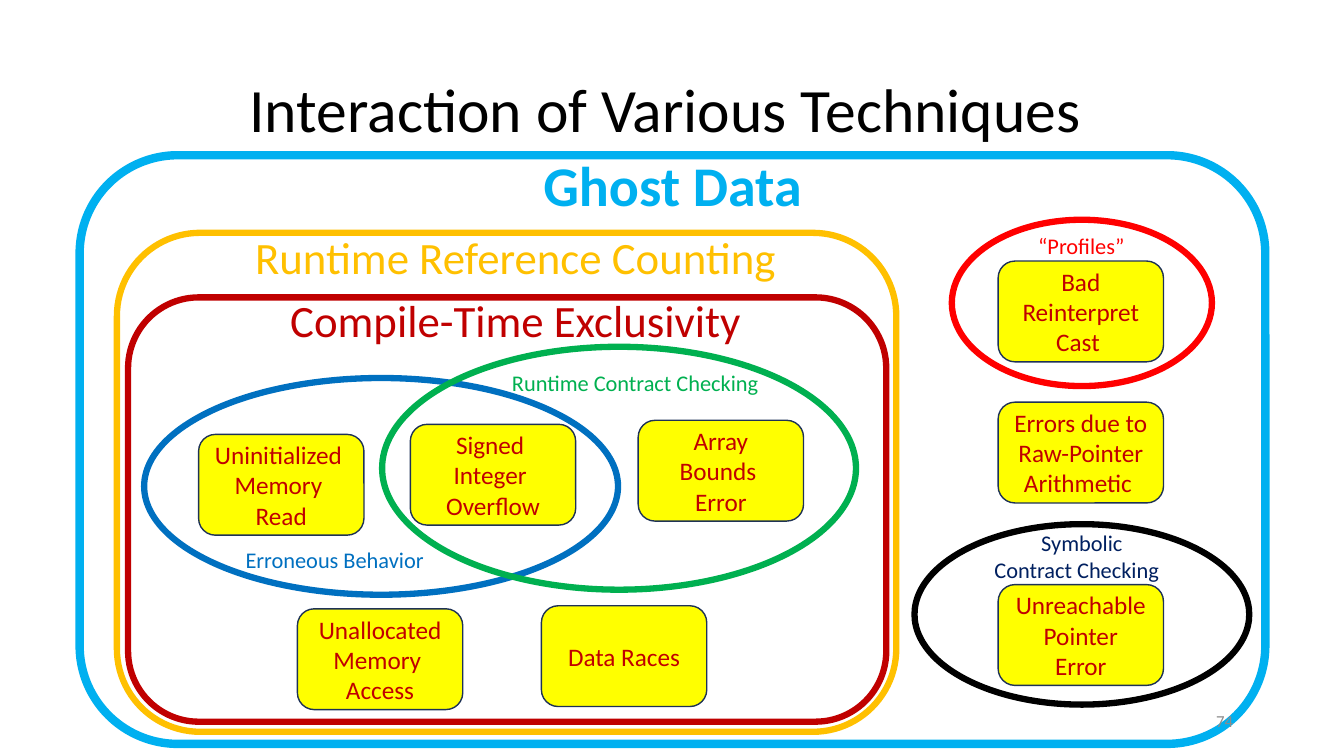
from dataclasses import dataclass

from pptx import Presentation, util as u
from pptx.dml.color import RGBColor
from pptx.enum import shapes, text as t

PX = 9144  # EMU per px, 100 px to the inch


@dataclass(frozen=True)
class Theme:
    font: str = "Calibri"
    black: str = "000000"
    gray: str = "8C8C8C"
    sky: str = "00B0F0"
    amber: str = "FFC000"
    crimson: str = "C00000"
    blue: str = "0070C0"
    green: str = "00B050"
    red: str = "FF0000"
    navy: str = "002060"
    error_fill: str = "FFFF00"
    error_line: str = "1E3256"
    title_size: int = 44
    ghost_size: int = 40
    frame_size: int = 32
    error_size: int = 18
    label_size: int = 16
    number_size: int = 12


THEME = Theme()


@dataclass(frozen=True)
class Box:
    left: int
    top: int
    width: int
    height: int

    def emu(self) -> tuple[int, ...]:
        return tuple(n * PX for n in (self.left, self.top, self.width, self.height))


@dataclass(frozen=True)
class Technique:
    """An outlined region with its name in the same colour family."""
    name: str
    outline: Box
    label: Box
    color: str
    kind: shapes.MSO_SHAPE = shapes.MSO_SHAPE.OVAL
    line: float = 4.5
    size: int = THEME.label_size
    bold: bool = False
    label_color: str = ""


@dataclass(frozen=True)
class Error:
    name: str
    left: int
    top: int


ROUNDED = shapes.MSO_SHAPE.ROUNDED_RECTANGLE
ERROR_WIDTH, ERROR_HEIGHT = 164, 100
RIGHT_COLUMN = 990

TECHNIQUES = [
    Technique("Ghost Data", Box(79, 154, 1176, 584), Box(407, 144, 520, 77),
              THEME.sky, ROUNDED, 6, THEME.ghost_size, True),
    Technique("Runtime Reference Counting", Box(116, 231, 773, 495),
              Box(178, 223, 667, 64), THEME.amber, ROUNDED, size=THEME.frame_size),
    Technique("Compile-Time Exclusivity", Box(127, 295, 752, 421),
              Box(178, 286, 667, 64), THEME.crimson, ROUNDED, size=THEME.frame_size),
    Technique("Erroneous Behavior ", Box(143, 375, 470, 215),
              Box(186, 537, 297, 37), THEME.blue),
    Technique("Runtime Contract Checking ", Box(379, 344, 470, 241),
              Box(484, 361, 297, 37), THEME.green),
    Technique("“Profiles”", Box(944, 218, 258, 165),
              Box(1016, 225, 113, 37), THEME.red),
    Technique("Symbolic\nContract Checking  ", Box(907, 520, 332, 179),
              Box(970, 520, 206, 64), THEME.black, label_color=THEME.navy),
]

# A blank line starts a new paragraph; a single newline is a line break
ERRORS = [
    Error("Uninitialized \nMemory \nRead", 197, 431),
    Error("Signed \nInteger \nOverflow", 407, 421),
    Error("Array\nBounds \nError", 633, 417),
    Error("Unallocated\nMemory \nAccess", 295, 604),
    Error("Data Races", 537, 601),
    Error("Bad Reinterpret\nCast ", RIGHT_COLUMN, 259),
    Error("Errors due to\nRaw-Pointer Arithmetic ", RIGHT_COLUMN, 399),
    Error("Unreachable Pointer\n\nError", RIGHT_COLUMN, 580),
]


def write(shape, content: str, *, size: int, color: str, bold: bool = False,
          align=t.PP_ALIGN.CENTER, anchor=t.MSO_ANCHOR.MIDDLE,
          spacing: float = 1.0, grow: bool = False) -> None:
    frame = shape.text_frame
    frame.word_wrap = True
    frame.vertical_anchor = anchor
    if grow:
        frame.auto_size = t.MSO_AUTO_SIZE.SHAPE_TO_FIT_TEXT
    for index, lines in enumerate(content.split("\n\n")):
        paragraph = frame.add_paragraph() if index else frame.paragraphs[0]
        paragraph.text = lines
        paragraph.alignment = align
        paragraph.line_spacing = spacing
        for run in paragraph.runs:
            run.font.name = THEME.font
            run.font.size = u.Pt(size)
            run.font.bold = bold
            run.font.color.rgb = RGBColor.from_string(color)


def add_outline(slide, kind: shapes.MSO_SHAPE, box: Box, color: str,
                line: float, fill: str = ""):
    shape = slide.shapes.add_shape(kind, *box.emu())
    shape.shadow.inherit = False
    if fill:
        shape.fill.solid()
        shape.fill.fore_color.rgb = RGBColor.from_string(fill)
    else:
        shape.fill.background()
    shape.line.color.rgb = RGBColor.from_string(color)
    shape.line.width = u.Pt(line)
    return shape


def add_technique(slide, technique: Technique) -> None:
    add_outline(slide, technique.kind, technique.outline, technique.color, technique.line)
    label = slide.shapes.add_textbox(*technique.label.emu())
    write(label, technique.name, size=technique.size, bold=technique.bold,
          color=technique.label_color or technique.color,
          anchor=t.MSO_ANCHOR.TOP, grow=True)


def add_error(slide, error: Error) -> None:
    box = Box(error.left, error.top, ERROR_WIDTH, ERROR_HEIGHT)
    shape = add_outline(slide, ROUNDED, box, THEME.error_line, 1, THEME.error_fill)
    write(shape, error.name, size=THEME.error_size, color=THEME.crimson)


def main() -> None:
    presentation = Presentation()
    presentation.slide_width, presentation.slide_height = 1333 * PX, 750 * PX
    slide = presentation.slides.add_slide(presentation.slide_layouts[6])

    # Title
    title = slide.shapes.add_textbox(*Box(92, 39, 1150, 145).emu())
    write(title, "Interaction of Various Techniques ", size=THEME.title_size,
          color=THEME.black, spacing=0.9)

    # Techniques, outermost first, then the errors they cover
    for technique in TECHNIQUES:
        add_technique(slide, technique)
    for error in ERRORS:
        add_error(slide, error)

    # Slide number
    number = slide.shapes.add_textbox(*Box(933, 695, 300, 40).emu())
    write(number, "74", size=THEME.number_size, color=THEME.gray,
          align=t.PP_ALIGN.RIGHT)

    presentation.save("out.pptx")


if __name__ == "__main__":
    main()
